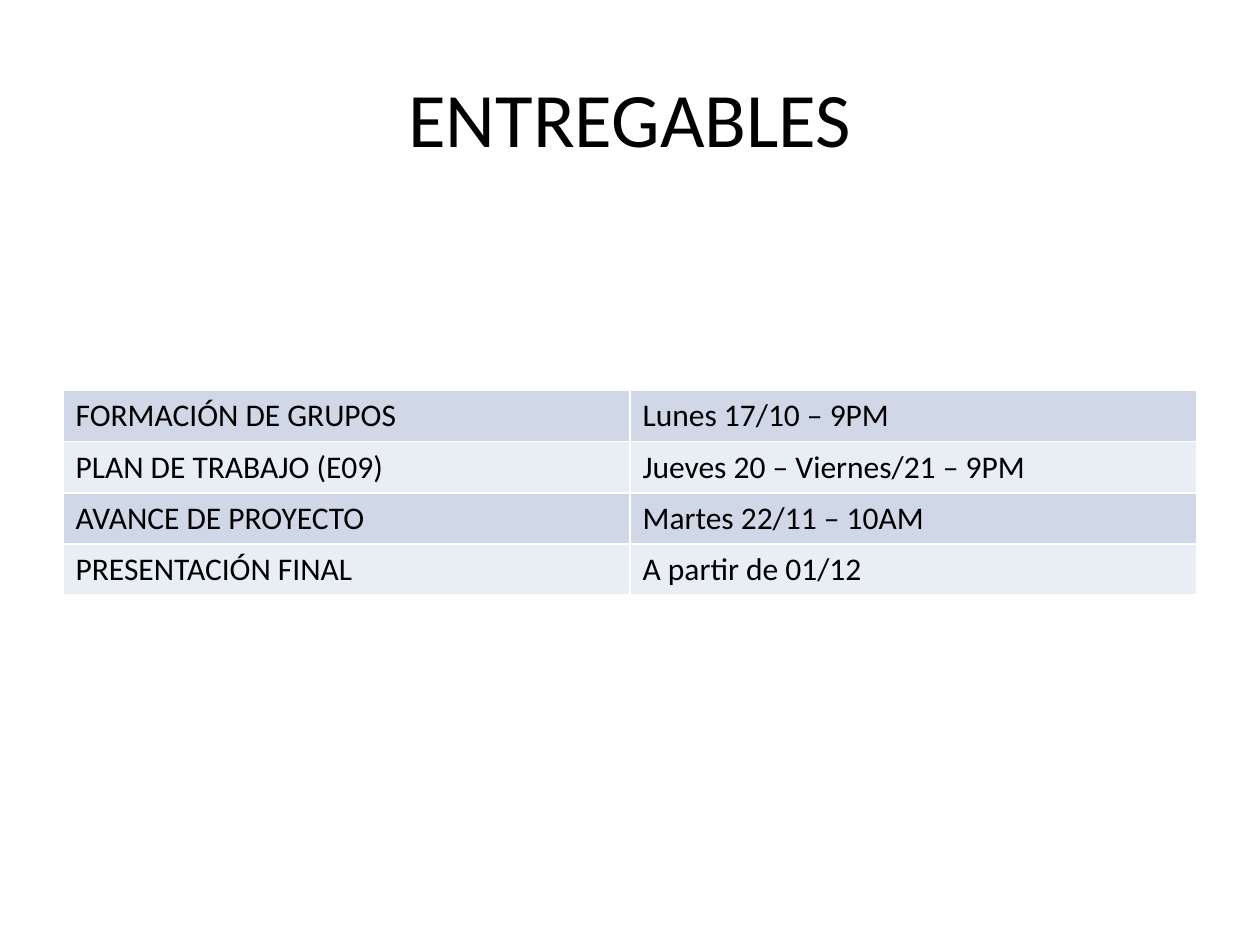
from dataclasses import dataclass

from pptx import Presentation
from pptx import util as u
from pptx.dml.color import RGBColor
from pptx.enum import text


@dataclass(frozen=True)
class Theme:
    """Colours, font and type sizes of the slide."""
    font: str = "Calibri"
    ink: str = "000000"
    bands: tuple = ("D0D8E8", "E9EDF4")
    title_size: int = 44
    cell_size: int = 18


class Deck:
    """Holds the style and the current slide."""

    def __init__(self, prs, theme):
        """Add a title-only slide to the presentation."""
        self.theme = theme
        self.slide = prs.slides.add_slide(prs.slide_layouts[5])

    def style(self, p, size):
        """Apply the theme font to a paragraph."""
        p.font.name = self.theme.font
        p.font.size = u.Pt(size)
        p.font.color.rgb = RGBColor.from_string(self.theme.ink)

    def title(self, words, left, top, width, height):
        """Fill and place the title placeholder."""
        sp = self.slide.shapes.title
        sp.left, sp.top = u.Inches(left), u.Inches(top)
        sp.width, sp.height = u.Inches(width), u.Inches(height)
        tf = sp.text_frame
        tf.text = words
        tf.vertical_anchor = text.MSO_ANCHOR.MIDDLE
        p = tf.paragraphs[0]
        p.alignment = text.PP_ALIGN.CENTER
        self.style(p, self.theme.title_size)

    def table(self, rows, left, top, width, height):
        """Add a banded table without a header row."""
        table = self.slide.shapes.add_table(
            len(rows), len(rows[0]), u.Inches(left), u.Inches(top),
            u.Inches(width), u.Inches(height)).table
        table.first_row = False
        for i, row in enumerate(rows):
            band = self.theme.bands[i % len(self.theme.bands)]
            for j, words in enumerate(row):
                cell = table.cell(i, j)
                cell.text = words
                cell.fill.solid()
                cell.fill.fore_color.rgb = RGBColor.from_string(band)
                self.style(cell.text_frame.paragraphs[0], self.theme.cell_size)


def main():
    """Build the deliverables slide."""
    prs = Presentation()
    prs.slide_width, prs.slide_height = u.Inches(10), u.Inches(7.5)
    deck = Deck(prs, Theme())
    deck.title("ENTREGABLES", 0.5, 0.3, 9, 1.25)
    deliverables = [
        ("FORMACIÓN DE GRUPOS", "Lunes 17/10 – 9PM"),
        ("PLAN DE TRABAJO (E09)", "Jueves 20 – Viernes/21 – 9PM"),
        ("AVANCE DE PROYECTO", "Martes 22/11 – 10AM"),
        ("PRESENTACIÓN FINAL", "A partir de 01/12"),
    ]
    deck.table(deliverables, 0.5, 3.1, 9, 1.62)
    prs.save("out.pptx")


if __name__ == "__main__":
    main()
